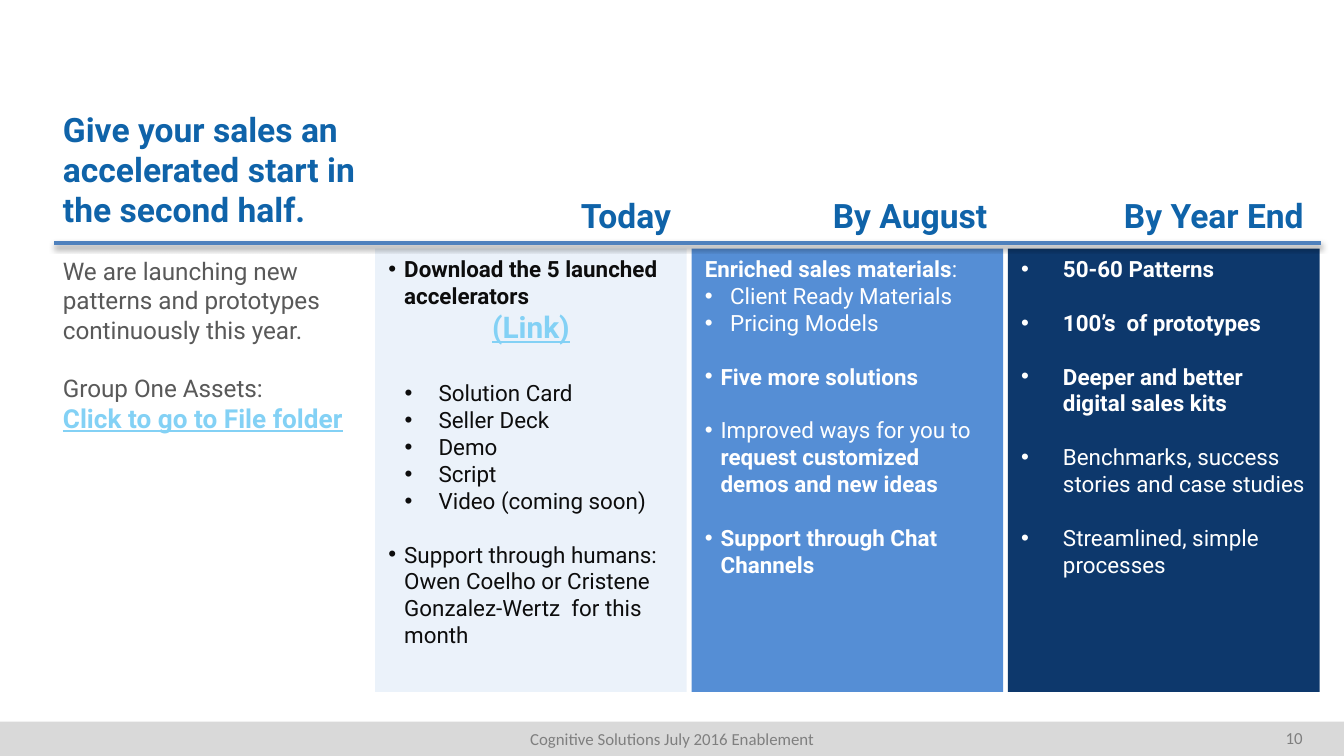
from lxml import etree
from pptx import Presentation
from pptx import util as u
from pptx.dml.color import RGBColor
from pptx.enum import shapes, text
from pptx.oxml import ns

BLUE = RGBColor(0x0F, 0x63, 0xA9)
RULE = RGBColor(0x4F, 0x81, 0xBD)
LINK = RGBColor(0x83, 0xD1, 0xF5)
PALE = RGBColor(0xC6, 0xD9, 0xF1)
MID = RGBColor(0x55, 0x8E, 0xD5)
NAVY = RGBColor(0x0D, 0x38, 0x6C)
INK = RGBColor(0x0D, 0x0D, 0x0D)
BODY = RGBColor(0x59, 0x59, 0x59)
GREY = RGBColor(0x7F, 0x7F, 0x7F)
BAND = RGBColor(0xD9, 0xD9, 0xD9)
WHITE = RGBColor(0xFF, 0xFF, 0xFF)
LEFT, MIDDLE, RIGHT = text.PP_ALIGN.LEFT, text.PP_ALIGN.CENTER, text.PP_ALIGN.RIGHT
GAP = 14.4


def sub(node, tag, **attrs):
    return etree.SubElement(node, ns.qn(tag), attrs)


def cms(box):
    return [u.Cm(n) for n in box]


def style(font, size, color, bold=False, line=False, name="Roboto"):
    font.name, font.size, font.bold = name, u.Pt(size), bold
    font.underline = line
    font.color.rgb = color


def item(words, bold=False, left=0.3, hang=0.3, gap=0, **more):
    return dict(words=words, bold=bold, left=left, hang=hang, gap=gap, **more)


def write(frame, items, color, size=12):
    frame.word_wrap = True
    frame.vertical_anchor = text.MSO_ANCHOR.TOP
    for i, part in enumerate(items):
        para = frame.paragraphs[0] if i == 0 else frame.add_paragraph()
        para.alignment = part.get("align", LEFT)
        para.level = part.get("level", 0)
        if part["gap"]:
            para.space_before = u.Pt(part["gap"])
        if part["hang"]:
            props = para._p.get_or_add_pPr()
            props.set("marL", str(u.Cm(part["left"])))
            props.set("indent", str(-u.Cm(part["hang"])))
            sub(props, "a:buFont", typeface="Arial")
            sub(props, "a:buChar", char="•")
        style(para.font, part.get("size", size), part.get("color", color),
              part["bold"], part.get("line", False), part.get("name", "Roboto"))
        words = part["words"]
        runs = [(words, None)] if isinstance(words, str) else words
        for word, bold in runs:
            run = para.add_run()
            run.text = word
            if bold is not None:
                run.font.bold = bold


def plain(words, **more):
    return item(words, left=0, hang=0, **more)


def panel(slide, box, fill, alpha=None):
    shape = slide.shapes.add_shape(shapes.MSO_SHAPE.RECTANGLE, *cms(box))
    shape.shadow.inherit = False
    shape.fill.solid()
    shape.fill.fore_color.rgb = fill
    shape.line.fill.background()
    if alpha:
        tint = shape._element.spPr.find(".//" + ns.qn("a:srgbClr"))
        sub(tint, "a:alpha", val=str(alpha * 1000))
    return shape


def label(slide, box, items, color, size):
    frame = slide.shapes.add_textbox(*cms(box)).text_frame
    write(frame, items, color, size)
    return frame


def inset(frame):
    frame.margin_left = frame.margin_right = u.Cm(0.15)
    frame.margin_top = frame.margin_bottom = u.Cm(0.15)


def column(slide, box, head, items, fill, color, alpha=None):
    left, top, wide, high = box
    write(panel(slide, box, fill, alpha).text_frame, items, color)
    label(slide, (left, top - 1.14, wide - 0.05, 1.07),
          [plain(head, bold=True, align=RIGHT)], BLUE, 18)


def intro(slide, box):
    left, top, wide, high = box
    title = slide.shapes.title
    title.left, title.top, title.width, title.height = cms((left, top, wide, 2.6))
    frame = title.text_frame
    frame.auto_size = text.MSO_AUTO_SIZE.NONE
    write(frame, [plain("Give your sales an accelerated start in the second half.",
                        bold=True)], BLUE, 18)
    inset(frame)
    inset(label(slide, (left, top + 2.8, wide, high - 2.8), [
        plain("We are launching new patterns and prototypes continuously this year."),
        plain("Group One Assets:", gap=15.6),
        plain("Click to go to File folder", bold=True, size=14, color=LINK, line=True),
    ], BODY, 13))


def rule(slide, box):
    left, top, wide, high = box
    line = slide.shapes.add_connector(
        shapes.MSO_CONNECTOR.STRAIGHT, *cms((left + wide, top, left, top + high)))
    line.line.color.rgb = RULE
    line.line.width = u.Pt(2)
    effects = sub(line._element.spPr, "a:effectLst")
    shade = sub(effects, "a:outerShdw", blurRad=str(u.Pt(3.1)), dist=str(u.Pt(1.6)),
                dir="5400000", rotWithShape="0")
    sub(sub(shade, "a:srgbClr", val="000000"), "a:alpha", val="38000")


def footer(slide, box):
    left, top, wide, high = box
    frame = panel(slide, box, BAND).text_frame
    write(frame, [plain("Cognitive Solutions July 2016 Enablement",
                        align=MIDDLE, name="Calibri")], GREY, 9)
    frame.vertical_anchor = text.MSO_ANCHOR.MIDDLE
    label(slide, (left + wide - 1.35, top, 0.84, 0.38),
          [plain("10", name="Calibri")], GREY, 9).word_wrap = False


def main():
    deck = Presentation()
    deck.slide_width, deck.slide_height = u.Cm(25.4), u.Cm(14.29)
    slide = deck.slides.add_slide(deck.slide_layouts[5])

    kit = ["Solution Card", "Seller Deck", "Demo", "Script", "Video (coming soon)"]
    today = [
        item("Download the 5 launched accelerators", True),
        plain("(Link)", bold=True, size=16, color=LINK, line=True, align=MIDDLE),
        *[item(name, left=0.95, hang=0.64, level=1, gap=0 if i else 18.6)
          for i, name in enumerate(kit)],
        item("Support through humans: Owen Coelho or Cristene "
             "Gonzalez-Wertz  for this month", gap=GAP),
    ]
    august = [
        plain([("Enriched sales materials", True), (":", False)]),
        item("Client Ready Materials", left=0.48, hang=0.48),
        item("Pricing Models", left=0.48, hang=0.48),
        item("Five more solutions", True, gap=GAP),
        item([("Improved ways for you to ", False),
              ("request customized demos and new ideas", True)], gap=GAP),
        item("Support through Chat Channels", True, gap=GAP),
    ]
    goals = [("50-60 Patterns", True), ("100’s  of prototypes", True),
             ("Deeper and better digital sales kits", True),
             ("Benchmarks, success stories and case studies", False),
             ("Streamlined, simple processes", False)]
    year = [item(goal, bold, left=0.79, hang=0.79, gap=GAP if i else 0)
            for i, (goal, bold) in enumerate(goals)]

    footer(slide, (0, 13.64, 25.4, 0.65))
    plan = [("Today", today, PALE, INK, 34),
            ("By August", august, MID, WHITE, None),
            ("By Year End", year, NAVY, WHITE, None)]
    for i, parts in enumerate(plan):
        column(slide, (7.09 + i * 5.98, 4.7, 5.89, 8.38), *parts)
    intro(slide, (1.04, 1.9, 6.25, 7.09))
    rule(slide, (1.02, 4.6, 23.95, 0))
    deck.save("out.pptx")


if __name__ == "__main__":
    main()
